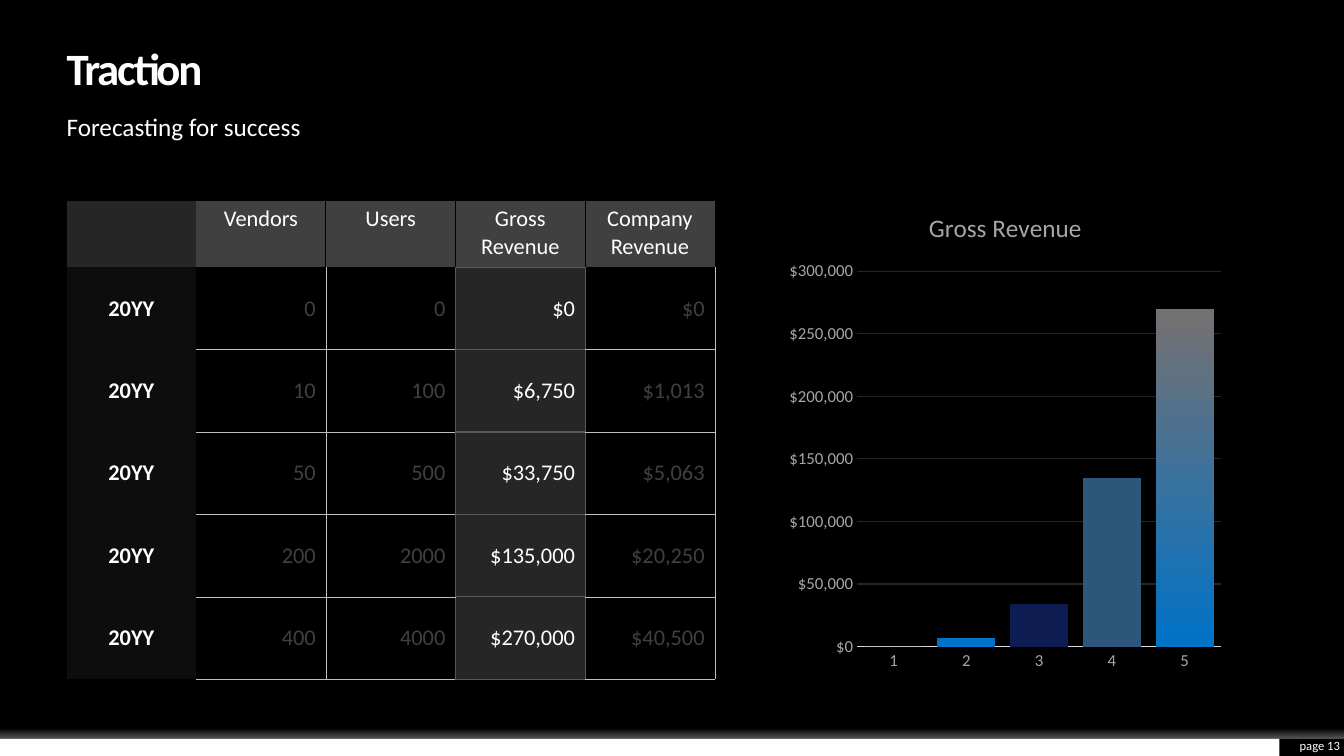
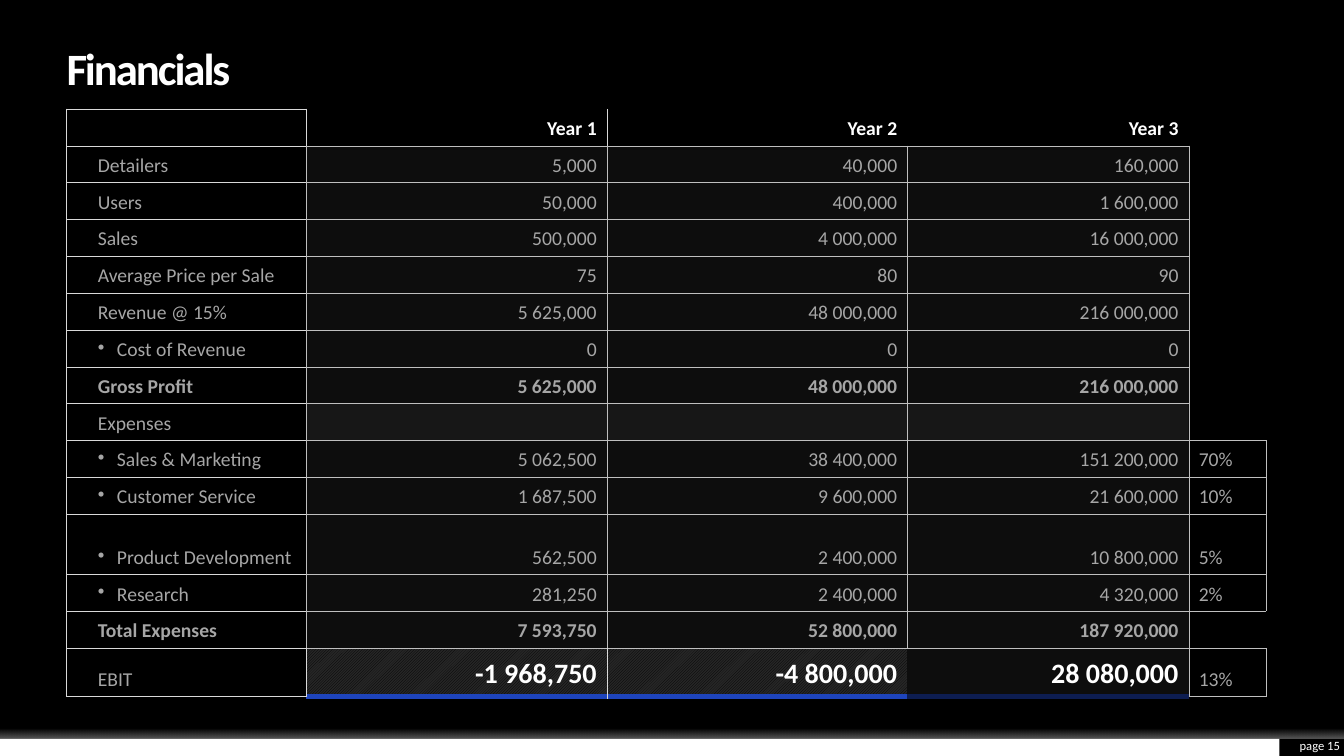
from lxml import etree
from pptx import Presentation
from pptx.chart.data import CategoryChartData
from pptx.dml.color import RGBColor
from pptx.enum.chart import XL_CHART_TYPE, XL_TICK_MARK
from pptx.enum.dml import MSO_PATTERN
from pptx.enum.shapes import MSO_SHAPE
from pptx.enum.text import MSO_ANCHOR, PP_ALIGN
from pptx.oxml.ns import qn
from pptx.util import Inches, Pt

LEFT, CENTER, RIGHT = PP_ALIGN.LEFT, PP_ALIGN.CENTER, PP_ALIGN.RIGHT
TOP, MIDDLE, BOTTOM = MSO_ANCHOR.TOP, MSO_ANCHOR.MIDDLE, MSO_ANCHOR.BOTTOM
RECTANGLE = MSO_SHAPE.RECTANGLE
COLUMNS = XL_CHART_TYPE.COLUMN_CLUSTERED
NO_TICK = XL_TICK_MARK.NONE
DIAGONAL = MSO_PATTERN.DARK_UPWARD_DIAGONAL

rgb = RGBColor.from_string
FONT = "Calibri"
BLACK, WHITE = "000000", "FFFFFF"
NEAR_BLACK, CHARCOAL, SLATE = "0D0D0D", "262626", "404040"
MUTED, PALE = "A6A6A6", "D9D9D9"
NAVY, ROYAL, AZURE, STEEL, STONE = "0D1D51", "1E44BC", "0072C7", "2C567A", "767171"
NO_GRID_STYLE = "{2D5ABB26-0587-4C30-8999-92F81FD0307C}"
MARGIN = 0.66


def write(frame, text, size, color, bold=False, align=LEFT):
    """Put one formatted paragraph in a text frame and return it."""
    frame.text = text
    frame.word_wrap = True
    line = frame.paragraphs[0]
    line.alignment = align
    line.font.name, line.font.size = FONT, Pt(size)
    line.font.bold, line.font.color.rgb = bold, rgb(color)
    return line


def set_borders(cell, **sides):
    """Draw cell borders; L, R, T and B each take (colour, points) or None."""
    properties = cell._tc.get_or_add_tcPr()
    drawn = [side for side in "LRTB" if sides.get(side)]
    for place, side in enumerate(drawn):
        color, width = sides[side]
        border = etree.Element(qn(f"a:ln{side}"), w=str(Pt(width)))
        fill = etree.SubElement(border, qn("a:solidFill"))
        etree.SubElement(fill, qn("a:srgbClr"), val=color)
        properties.insert(place, border)


prs = Presentation()
prs.slide_width, prs.slide_height = Inches(13.33), Inches(7.5)
title_only = prs.slide_layouts[5]
title_only.background.fill.solid()
title_only.background.fill.fore_color.rgb = rgb(BLACK)

# Titles and page numbers
slides = []
for heading, page in (("Traction", "page 13"), ("Financials", "page 15")):
    slide = prs.slides.add_slide(title_only)
    title = slide.shapes.title
    title.left, title.top = Inches(MARGIN), Inches(0.47)
    title.width, title.height = Inches(10.91), Inches(0.47)
    line = write(title.text_frame, heading, 32, WHITE, bold=True)
    line.line_spacing = 0.9
    line._p.pPr.find(qn("a:defRPr")).set("spc", "-150")
    number = slide.shapes.add_textbox(Inches(12.69), Inches(7.31), Inches(0.6), Inches(0.17))
    write(number.text_frame, page, 9, WHITE, align=RIGHT)
    for frame in (title.text_frame, number.text_frame):
        frame.margin_left = frame.margin_right = frame.margin_top = frame.margin_bottom = 0
        frame.vertical_anchor = MIDDLE
    slides.append(slide)
traction, financials = slides

# Bottom bands, shared through the layout
strip = traction.shapes.add_shape(RECTANGLE, 0, Inches(7.33), Inches(12.69), Inches(0.17))
strip.fill.solid()
strip.fill.fore_color.rgb = rgb(WHITE)
glow = traction.shapes.add_shape(RECTANGLE, 0, Inches(7.16), Inches(13.33), Inches(0.17))
glow.fill.gradient()
glow.fill.gradient_angle = 270
for stop, position in zip(glow.fill.gradient_stops, (0.4, 1)):
    stop.position = position
    stop.color.rgb = rgb(WHITE)
for color, opacity in zip(glow.element.spPr.iter(qn("a:srgbClr")), ("0", "35000")):
    etree.SubElement(color, qn("a:alpha"), val=opacity)
for band_id, band in enumerate((strip, glow), start=20):
    band.line.fill.background()
    band.shadow.inherit = False
    band.element.nvSpPr.cNvPr.set("id", str(band_id))
    title_only.shapes.element.append(band.element)

# Traction: subtitle
subtitle = traction.shapes.add_textbox(Inches(MARGIN), Inches(1.1), Inches(10.91), Inches(0.28))
frame = subtitle.text_frame
frame.margin_left = frame.margin_right = frame.margin_top = frame.margin_bottom = 0
write(frame, "Forecasting for success", 18, WHITE)

# Traction: forecast table
forecast = [
    ("", "Vendors", "Users", "Gross Revenue", "Company Revenue"),
    ("20YY", "0", "0", "$0", "$0"),
    ("20YY", "10", "100", "$6,750", "$1,013"),
    ("20YY", "50", "500", "$33,750", "$5,063"),
    ("20YY", "200", "2000", "$135,000", "$20,250"),
    ("20YY", "400", "4000", "$270,000", "$40,500"),
]
HAIR, EDGE, GAP = ("BFBFBF", 0.25), ("595959", 1), (BLACK, 1)
REVENUE = 3
header_lines = (None, None, GAP, GAP, GAP, None)
body_lines = (None, None, HAIR, EDGE, EDGE, HAIR)
frame = traction.shapes.add_table(6, 5, Inches(MARGIN), Inches(1.99), Inches(6.43), Inches(4.75))
frame._element.find(".//" + qn("a:tableStyleId")).text = NO_GRID_STYLE
for column in frame.table.columns:
    column.width = Inches(6.43 / 5)
for r, values in enumerate(forecast):
    frame.table.rows[r].height = Inches((4.75 - 0.66) / 5 if r else 0.66)
    for c, text in enumerate(values):
        cell = frame.table.cell(r, c)
        if r == 0:
            fill, color, align = SLATE if c else CHARCOAL, WHITE, CENTER
        elif c == 0:
            fill, color, align = NEAR_BLACK, WHITE, CENTER
        elif c == REVENUE:
            fill, color, align = CHARCOAL, WHITE, RIGHT
        else:
            fill, color, align = None, SLATE, RIGHT
        write(cell.text_frame, text, 16, color, bold=r > 0 and c == 0, align=align)
        cell.vertical_anchor = MIDDLE if r else TOP
        if fill:
            cell.fill.solid()
            cell.fill.fore_color.rgb = rgb(fill)
        else:
            cell.fill.background()
        lines = body_lines if r else header_lines
        rule = EDGE if c == REVENUE else HAIR if c else None
        set_borders(cell, L=lines[c], R=lines[c + 1],
                    T=rule if r > 1 or (r and c == REVENUE) else None,
                    B=rule if r or c == REVENUE else None)

# Traction: revenue chart
revenue = CategoryChartData(number_format="General")
revenue.categories = ["1", "2", "3", "4", "5"]
revenue.add_series("Series 1", (0, 7000, 34000, 135000, 270000))
chart = traction.shapes.add_chart(COLUMNS, Inches(7.74), Inches(1.89),
                                  Inches(4.46), Inches(4.86), revenue).chart
chart.font.name, chart.font.size, chart.font.color.rgb = FONT, Pt(10), rgb(MUTED)
chart.has_legend = False
chart.has_title = True
write(chart.chart_title.text_frame, "Gross Revenue", 18, MUTED, align=CENTER)
chart.chart_title.include_in_layout = False
for axis in (chart.category_axis, chart.value_axis):
    axis.major_tick_mark = axis.minor_tick_mark = NO_TICK
    labels = axis.tick_labels.font
    labels.name, labels.size, labels.color.rgb = FONT, Pt(12), rgb(MUTED)
base = chart.category_axis.format.line
base.color.rgb, base.width = rgb(PALE), Pt(0.75)
dollars = chart.value_axis
dollars.minimum_scale, dollars.maximum_scale, dollars.major_unit = 0, 300000, 50000
dollars.format.line.fill.background()
dollars.major_gridlines.format.line.color.rgb = rgb(CHARCOAL)
dollars.major_gridlines.format.line.width = Pt(0.75)
dollars.tick_labels.number_format = "[$$-409]#,##0"
dollars.tick_labels.number_format_is_linked = False
plot = chart.plots[0]
plot.gap_width, plot.vary_by_categories = 25, False
bars = plot.series[0]
bars.invert_if_negative = False
bars.format.fill.solid()
bars.format.fill.fore_color.rgb = rgb(NAVY)
for index, color in ((1, AZURE), (3, STEEL)):
    bar_fill = bars.points[index].format.fill
    bar_fill.solid()
    bar_fill.fore_color.rgb = rgb(color)
last_fill = bars.points[4].format.fill
last_fill.gradient()
last_fill.gradient_angle = 270
for stop, position, color in zip(last_fill.gradient_stops, (0, 1), (STONE, AZURE)):
    stop.position = position
    stop.color.rgb = rgb(color)

# Financials: statement table
statement = [
    ("", "Year 1", "Year 2", "Year 3", ""),
    ("Detailers", "5,000", "40,000", "160,000", ""),
    ("Users", "50,000", "400,000", "1 600,000", ""),
    ("Sales", "500,000", "4 000,000", "16 000,000", ""),
    ("Average Price per Sale", "75", "80", "90", ""),
    ("Revenue @ 15%", "5 625,000", "48 000,000", "216 000,000", ""),
    ("Cost of Revenue", "0", "0", "0", ""),
    ("Gross Profit", "5 625,000", "48 000,000", "216 000,000", ""),
    ("Expenses", "", "", "", ""),
    ("Sales & Marketing", "5 062,500", "38 400,000", "151 200,000", "70%"),
    ("Customer Service", "1 687,500", "9 600,000", "21 600,000", "10%"),
    ("Product Development", "562,500", "2 400,000", "10 800,000", "5%"),
    ("Research", "281,250", "2 400,000", "4 320,000", "2%"),
    ("Total Expenses", "7 593,750", "52 800,000", "187 920,000", ""),
    ("EBIT", "-1 968,750", "-4 800,000", "28 080,000", "13%"),
]
BULLETED = {"Cost of Revenue", "Sales & Marketing", "Customer Service",
            "Product Development", "Research"}
TOTALS = {"Gross Profit", "Total Expenses"}
TALL_ROWS = {"Product Development": 0.6, "EBIT": 0.48}
LABEL_EDGE = (PALE, 0.25)
SHARE = 4
row_height = (5.83 - sum(TALL_ROWS.values())) / (len(statement) - len(TALL_ROWS))
frame = financials.shapes.add_table(len(statement), 5, Inches(MARGIN), Inches(1.08),
                                    Inches(11.91), Inches(5.83))
frame._element.find(".//" + qn("a:tableStyleId")).text = NO_GRID_STYLE
for column, width in zip(frame.table.columns, (2.38, 2.98, 2.98, 2.79, 0.77)):
    column.width = Inches(width)
for r, values in enumerate(statement):
    label = values[0]
    is_header, is_result = r == 0, label == "EBIT"
    frame.table.rows[r].height = Inches(TALL_ROWS.get(label, row_height))
    share_above = r > 0 and statement[r - 1][SHARE]
    share_below = not is_result and statement[r + 1][SHARE]
    if is_header:
        lines = (LABEL_EDGE, LABEL_EDGE, None, None, None, None)
    elif is_result:
        lines = (LABEL_EDGE, LABEL_EDGE, None, None, HAIR, HAIR)
    else:
        lines = (LABEL_EDGE, HAIR, HAIR, HAIR, HAIR, HAIR if values[SHARE] else None)
    for c, text in enumerate(values):
        cell = frame.table.cell(r, c)
        is_year = 0 < c < SHARE
        is_big = is_result and is_year
        line = write(cell.text_frame, text, 20 if is_big else 14,
                     WHITE if is_header or is_big else MUTED,
                     bold=is_header or is_big or label in TOTALS,
                     align=RIGHT if is_year else LEFT)
        cell.vertical_anchor = BOTTOM
        if not text:
            cell.margin_top = cell.margin_bottom = 0

        if c == 0 and text:
            cell.margin_left = Inches(0.31)
        if c == 0 and label in BULLETED:
            bullet = line._p.get_or_add_pPr()
            bullet.set("marL", str(Inches(0.19)))
            bullet.set("indent", str(-Inches(0.19)))
            bullet.insert(0, etree.Element(qn("a:buChar"), char="•"))

        if c == SHARE:
            cell.fill.background()
        elif is_big and c < 3:
            cell.fill.patterned()
            cell.fill.pattern = DIAGONAL
            cell.fill.fore_color.rgb, cell.fill.back_color.rgb = rgb(BLACK), rgb(CHARCOAL)
        else:
            cell.fill.solid()
            fill = BLACK if is_header or c == 0 else NEAR_BLACK if text else SLATE
            cell.fill.fore_color.rgb = rgb(fill)
            if fill == SLATE:
                tint = cell._tc.tcPr.find(".//" + qn("a:srgbClr"))
                etree.SubElement(tint, qn("a:alpha"), val="36000")

        if c == 0:
            above = below = LABEL_EDGE
        elif c == SHARE:
            above = HAIR if text or share_above else None
            below = HAIR if text or share_below else None
        else:
            above = None if is_header else HAIR
            below = (ROYAL if c < 3 else NAVY, 4.5) if is_result else HAIR
        set_borders(cell, L=lines[c], R=lines[c + 1], T=above, B=below)

prs.save("out.pptx")
